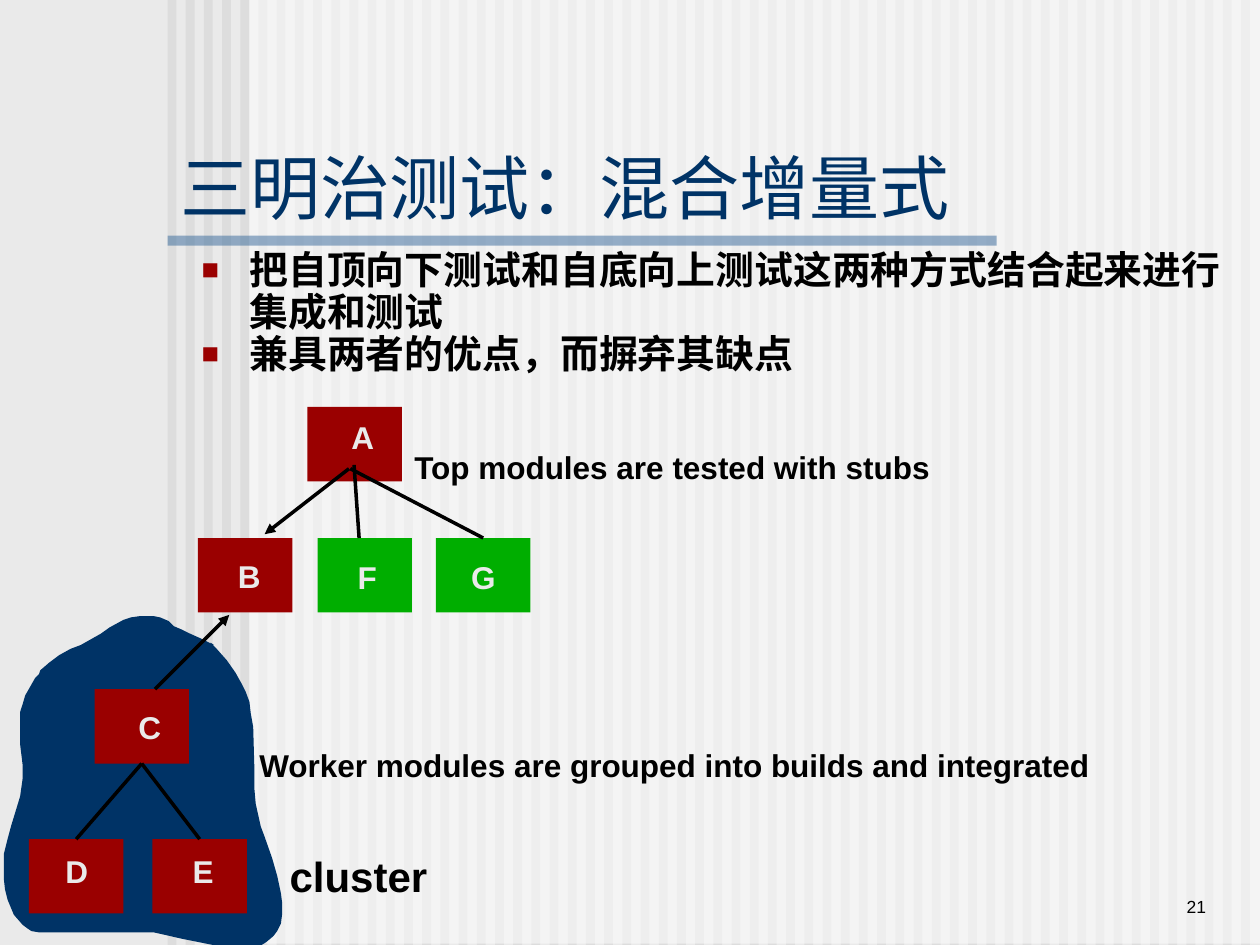
"""Build the sandwich testing slide with its module hierarchy."""
from lxml import etree
from pptx import Presentation
from pptx import util as u
from pptx.dml import color
from pptx.enum import shapes, text
from pptx.oxml import ns

NAVY, RED, GREEN = "003366", "9A0000", "00AE00"
BLACK, PALE = "000000", "EAEAEA"
BOX_W, BOX_H = 0.75, 0.59

MODULES = {
    "A": (2.44, 3.23, RED, 2.69, 3.27, 0.38),
    "B": (1.57, 4.27, RED, 1.79, 4.37, 0.38),
    "C": (0.75, 5.47, RED, 1.0, 5.57, 0.38),
    "D": (0.23, 6.66, RED, 0.42, 6.71, 0.38),
    "E": (1.21, 6.66, RED, 1.43, 6.71, 0.37),
    "F": (2.52, 4.27, GREEN, 2.74, 4.38, 0.35),
    "G": (3.46, 4.27, GREEN, 3.64, 4.38, 0.39),
}

CLUSTER = [
    (1.7, 5.12), (1.6, 5.07), (1.51, 5.03), (1.45, 5), (1.38, 4.97),
    (1.34, 4.93), (1.27, 4.9), (1.22, 4.89), (1.11, 4.89), (1.04, 4.9),
    (0.98, 4.92), (0.87, 4.98), (0.8, 5.03), (0.64, 5.12), (0.56, 5.15),
    (0.47, 5.2), (0.39, 5.26), (0.32, 5.32), (0.31, 5.35), (0.28, 5.38),
    (0.24, 5.45), (0.2, 5.52), (0.18, 5.59), (0.16, 5.65), (0.16, 5.91),
    (0.18, 6.07), (0.18, 6.18), (0.16, 6.32), (0.13, 6.42), (0.09, 6.55),
    (0.06, 6.66), (0.03, 6.78), (0.03, 6.97), (0.04, 7.06), (0.06, 7.14),
    (0.11, 7.26), (0.18, 7.34), (0.22, 7.37), (0.25, 7.39), (0.31, 7.4),
    (1.22, 7.4), (1.31, 7.42), (1.44, 7.45), (1.59, 7.48), (1.69, 7.5),
    (1.78, 7.53), (1.94, 7.53), (2.06, 7.51), (2.11, 7.48), (2.17, 7.43),
    (2.2, 7.39), (2.23, 7.33), (2.24, 7.25), (2.24, 7.17), (2.23, 7.09),
    (2.2, 6.95), (2.16, 6.81), (2.1, 6.64), (2.07, 6.56), (2.03, 6.38),
    (2.02, 6.27), (2.02, 6.13), (2.01, 5.77), (1.99, 5.66), (1.98, 5.57),
    (1.95, 5.49), (1.92, 5.43), (1.87, 5.34), (1.8, 5.24), (1.72, 5.15),
    (1.67, 5.1),
]


def rgb(value):
    """Turn a hex string into a colour."""
    return color.RGBColor.from_string(value)


def inches(*values):
    """Turn numbers into lengths."""
    return [u.Inches(v) for v in values]


class Deck:
    """Hold the style and the current slide."""

    def __init__(self, font="Arial", body_font="TeX Gyre Pagella"):
        """Open a presentation with one title and content slide."""
        self.font, self.body_font = font, body_font
        self.prs = Presentation()
        self.prs.slide_width, self.prs.slide_height = inches(10, 7.5)
        self.s = self.prs.slides.add_slide(self.prs.slide_layouts[1])
        fill = self.s.background.fill
        fill.solid()
        fill.fore_color.rgb = rgb(PALE)

    def paint(self, sp, fill, alpha=None):
        """Give a shape a flat fill without line or shadow."""
        sp.shadow.inherit = False
        sp.line.fill.background()
        sp.fill.solid()
        sp.fill.fore_color.rgb = rgb(fill)
        if alpha:
            clr = sp._element.spPr.find(ns.qn("a:solidFill"))[0]
            etree.SubElement(clr, ns.qn("a:alpha"), val=str(alpha * 1000))
        return sp

    def rect(self, x, y, w, h, fill, alpha=None):
        """Add a plain rectangle."""
        sp = self.s.shapes.add_shape(shapes.MSO_SHAPE.RECTANGLE, *inches(x, y, w, h))
        return self.paint(sp, fill, alpha)

    def outline(self, points, fill):
        """Add a closed outline."""
        (x, y), *rest = [inches(*point) for point in points]
        builder = self.s.shapes.build_freeform(x, y)
        builder.add_line_segments(rest, close=True)
        return self.paint(builder.convert_to_shape(), fill)

    def style(self, p, size, fill, bold=False, font=None):
        """Format the runs of a paragraph."""
        for r in p.runs:
            r.font.size, r.font.bold = u.Pt(size), bold
            r.font.name = font or self.font
            r.font.color.rgb = rgb(fill)

    def label(self, words, x, y, w, h=0.4, size=18, fill=BLACK, bold=True):
        """Add a one-line text box."""
        tf = self.s.shapes.add_textbox(*inches(x, y, w, h)).text_frame
        tf.word_wrap = False
        tf.text = words
        self.style(tf.paragraphs[0], size, fill, bold)
        return tf

    def place(self, sp, x, y, w, h):
        """Move a placeholder to the front and to its position."""
        self.s.shapes._spTree.append(sp._element)
        sp.left, sp.top, sp.width, sp.height = inches(x, y, w, h)
        sp.text_frame.auto_size = text.MSO_AUTO_SIZE.NONE
        return sp.text_frame

    def title(self, words, *at):
        """Fill the title placeholder."""
        tf = self.place(self.s.shapes.title, *at)
        tf.vertical_anchor = text.MSO_ANCHOR.BOTTOM
        tf.text = words
        p = tf.paragraphs[0]
        p.alignment = text.PP_ALIGN.LEFT
        self.style(p, 40, NAVY)

    def bullets(self, items, *at):
        """Fill the body placeholder with a bulleted list."""
        tf = self.place(self.s.placeholders[1], *at)
        tf.text = "\n".join(items)
        for p in tf.paragraphs:
            p.line_spacing, p.space_before = 0.9, u.Pt(0)
            pPr = p._p.get_or_add_pPr()
            pPr.set("marL", str(u.Inches(0.38)))
            pPr.set("indent", str(u.Inches(-0.38)))
            clr = etree.SubElement(pPr, ns.qn("a:buClr"))
            etree.SubElement(clr, ns.qn("a:srgbClr"), val=RED)
            etree.SubElement(pPr, ns.qn("a:buSzPct"), val="75000")
            etree.SubElement(pPr, ns.qn("a:buFont"), typeface=self.font)
            etree.SubElement(pPr, ns.qn("a:buChar"), char="■")
            self.style(p, 22.2, BLACK, True, self.body_font)

    def line(self, start, end, begin=None, finish=None, arrow=False):
        """Add a connector, joined to (shape, side) pairs where given."""
        cx = self.s.shapes.add_connector(
            shapes.MSO_CONNECTOR.STRAIGHT, *inches(*start, *end))
        if begin:
            cx.begin_connect(*begin)
        if finish:
            cx.end_connect(*finish)
        cx.line.width = u.Pt(2)
        cx.line.color.rgb = rgb(BLACK)
        spPr = cx._element.spPr
        if arrow:
            etree.SubElement(spPr.find(ns.qn("a:ln")), ns.qn("a:tailEnd"), type="triangle")
        etree.SubElement(spPr, ns.qn("a:effectLst"))


def main():
    """Draw the slide and save it."""
    deck = Deck()
    for i in range(60):
        deck.rect(1.33 + i * 8.52 / 59, 0, 0.07, 7.5, "DDDDDD")
    deck.rect(1.98, -0.01, 8.02, 7.5, "FFFFFF", 50)
    deck.rect(1.33, 1.87, 6.58, 0.08, "336699", 50)

    number = deck.label("21", 8.25, 6.83, 1.42, 0.5, 10, bold=False)
    number.word_wrap = True
    number.vertical_anchor = text.MSO_ANCHOR.BOTTOM
    number.paragraphs[0].alignment = text.PP_ALIGN.RIGHT
    deck.bullets(["把自顶向下测试和自底向上测试这两种方式结合起来进行集成和测试",
                  "兼具两者的优点，而摒弃其缺点"], 1.5, 1.94, 8.5, 1.24)
    deck.title("三明治测试：混合增量式", 1.33, 1.17, 8.67, 0.69)

    deck.outline(CLUSTER, NAVY)
    box = {name: deck.rect(x, y, BOX_W, BOX_H, fill)
           for name, (x, y, fill, *_) in MODULES.items()}
    deck.line((1.14, 6.08), (0.57, 6.66), (box["C"], 2), (box["D"], 0))
    deck.line((1.11, 6.08), (1.6, 6.68), (box["C"], 2), (box["E"], 0))
    deck.line((2.81, 3.69), (2.85, 4.27))
    deck.line((2.78, 3.72), (3.85, 4.25), finish=(box["G"], 0))
    deck.label("Top modules are tested with stubs", 3.19, 3.51, 4.33)
    deck.label("Worker modules are grouped into builds and integrated", 1.96, 5.87, 6.8)
    for name, (_, _, _, x, y, w) in MODULES.items():
        deck.label(name, x, y, w, fill=PALE)
    deck.label("cluster", 2.2, 6.7, 1.29, 0.5, 24)
    deck.line((2.77, 3.72), (2.1, 4.24), arrow=True)
    deck.line((1.23, 5.47), (1.82, 4.88), arrow=True)
    deck.prs.save("out.pptx")


if __name__ == "__main__":
    main()
